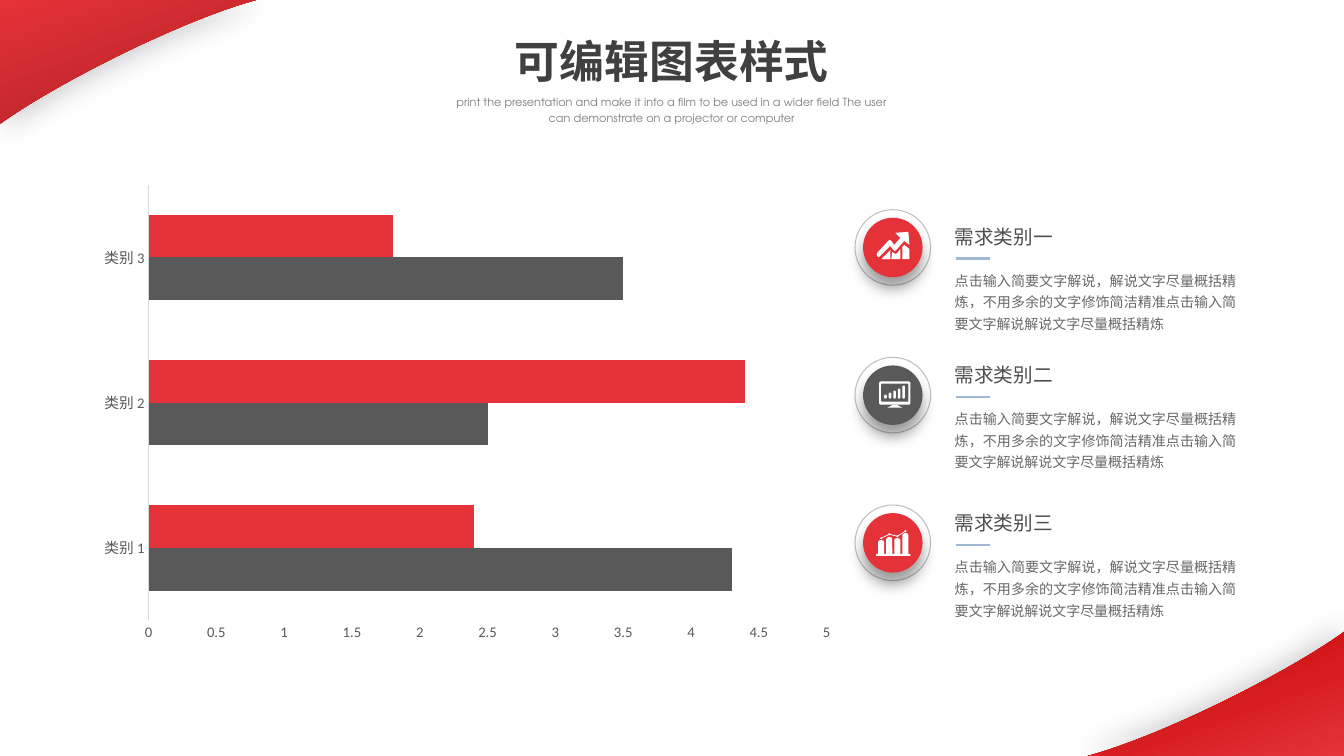
import lxml.etree
import pptx
import pptx.chart.data
import pptx.dml.color
import pptx.enum.chart
import pptx.enum.shapes
import pptx.enum.text
import pptx.oxml
import pptx.oxml.ns
import pptx.util

WIDTH, HEIGHT = 13.33, 7.5
RED, GREY, WHITE = "E53238", "595959", "FFFFFF"
LATIN, CHINESE = "TeX Gyre Adventor", "Noto Sans CJK SC"

TITLE = "可编辑图表样式"
SUBTITLE = ("print the presentation and make it into a film to be used in a wider field "
            "The user can demonstrate on a projector or computer")
BODY = ("点击输入简要文字解说，解说文字尽量概括精炼，不用多余的文字修饰简洁精准点击输入简要"
        "文字解说解说文字尽量概括精炼")
CATEGORIES = ["类别 1", "类别 2", "类别 3"]
SERIES = [("Series 1", (4.3, 2.5, 3.5), GREY), ("Series 2", (2.4, 4.4, 1.8), RED)]
CHART_BOX = (0.84, 1.74, 7.54, 4.74)
PLOT_SHARES = {"x": 0.084, "y": 0.02, "w": 0.892, "h": 0.911}

ITEMS = [("需求类别一", RED, "growth", 2.11), ("需求类别二", GREY, "monitor", 3.48),
         ("需求类别三", RED, "columns", 4.95)]
RING_LEFT, RING_TOP, RING_PITCH, RING_SIZE, DISC_SIZE = 8.48, 2.08, 1.465, 0.75, 0.59
TEXT_LEFT, RULE_LEFT, RULE_LENGTH = 9.37, 9.48, 0.34

CORNER_CURVE = [(2.54, 0), (1.74, 0.22), (0.49, 0.87), (0, 1.23)]
GROWTH_OUTLINES = [
    [(0.49, 0.35), (0.54, 0.39), (0.54, 0.49), (0.47, 0.49), (0.47, 0.37)],
    [(0.42, 0.43), (0.4, 0.44), (0.37, 0.42), (0.36, 0.49), (0.45, 0.49), (0.45, 0.39)],
    [(0.27, 0.48), (0.27, 0.49), (0.35, 0.49), (0.35, 0.4)],
    [(0.35, 0.36), (0.25, 0.46), (0.235, 0.47), (0.22, 0.46), (0.215, 0.445), (0.22, 0.43),
     (0.33, 0.31), (0.345, 0.3), (0.36, 0.31), (0.39, 0.35), (0.45, 0.28), (0.4, 0.23),
     (0.53, 0.22), (0.54, 0.35), (0.49, 0.31), (0.41, 0.4), (0.395, 0.41), (0.38, 0.4)],
]
STAND_OUTLINE = [(0.37, 0.47), (0.42, 0.47), (0.43, 0.48), (0.47, 0.5), (0.32, 0.5), (0.36, 0.48)]
MONITOR_BAR_TOPS = [0.37, 0.35, 0.33, 0.31, 0.28]
COLUMN_TOPS = [0.35, 0.32, 0.33, 0.28]
TREND_HEIGHTS = [0.33, 0.29, 0.31, 0.26]

SHAPES = pptx.enum.shapes.MSO_SHAPE
ALIGN = pptx.enum.text.PP_ALIGN
inches = pptx.util.Inches

presentation = pptx.Presentation()
presentation.slide_width, presentation.slide_height = inches(WIDTH), inches(HEIGHT)
slide = presentation.slides.add_slide(presentation.slide_layouts[6])


def color(value):
    return pptx.dml.color.RGBColor.from_string(value)


def add_shadow(shape, alpha, blur, distance, angle):
    shape.shadow.inherit = False
    effects = shape._element.spPr.find(pptx.oxml.ns.qn("a:effectLst"))
    effects.append(pptx.oxml.parse_xml(
        f'<a:outerShdw {pptx.oxml.ns.nsdecls("a")} blurRad="{blur * 12700}" '
        f'dist="{distance * 12700}" dir="{angle * 60000}" algn="ctr" rotWithShape="0">'
        f'<a:srgbClr val="000000"><a:alpha val="{alpha * 1000}"/></a:srgbClr></a:outerShdw>'))


def add_preset(kind, left, top, width, height, fill=None, line=None):
    shape = slide.shapes.add_shape(kind, *map(inches, (left, top, width, height)))
    shape.shadow.inherit = False
    if fill:
        shape.fill.solid()
        shape.fill.fore_color.rgb = color(fill)
    else:
        shape.fill.background()
    if line:
        shape.line.color.rgb = color(line)
        shape.line.width = pptx.util.Pt(0.75)
    else:
        shape.line.fill.background()
    return shape


def add_outline(points, left=0, top=0, fill=WHITE):
    scaled = [((left + x) * 1000, (top + y) * 1000) for x, y in points]
    builder = slide.shapes.build_freeform(*scaled[0], scale=914.4)
    builder.add_line_segments(scaled[1:], close=True)
    shape = builder.convert_to_shape()
    shape.shadow.inherit = False
    shape.fill.solid()
    shape.fill.fore_color.rgb = color(fill)
    shape.line.fill.background()
    return shape


def add_line(start, end, line, width):
    connector = slide.shapes.add_connector(
        pptx.enum.shapes.MSO_CONNECTOR.STRAIGHT, *map(inches, (*start, *end)))
    connector.line.color.rgb = color(line)
    connector.line.width = pptx.util.Pt(width)
    lxml.etree.SubElement(connector._element.spPr, pptx.oxml.ns.qn("a:effectLst"))


def add_text(text, left, top, width, height, *, size, fill, font,
             align=ALIGN.LEFT, spacing=1.0, bold=False):
    box = slide.shapes.add_textbox(*map(inches, (left, top, width, height)))
    box.text_frame.word_wrap = True
    paragraph = box.text_frame.paragraphs[0]
    paragraph.alignment, paragraph.line_spacing = align, spacing
    run = paragraph.add_run()
    run.text = text
    run.font.size, run.font.bold, run.font.name = pptx.util.Pt(size), bold, font
    run.font.color.rgb = color(fill)
    east_asian = lxml.etree.SubElement(run.font._element, pptx.oxml.ns.qn("a:ea"))
    east_asian.set("typeface", font)


def add_corner(mirrored, dark, gradient_angle, shadow_angle):
    points = [(0, 0)]
    for step in range(41):
        t = step / 40
        weights = ((1 - t) ** 3, 3 * t * (1 - t) ** 2, 3 * t * t * (1 - t), t ** 3)
        points.append(tuple(sum(w * p[axis] for w, p in zip(weights, CORNER_CURVE))
                            for axis in (0, 1)))
    if mirrored:
        points = [(WIDTH - x, HEIGHT - y) for x, y in points]
    shape = add_outline(points)
    shape.fill.gradient()
    shape.fill.gradient_angle = gradient_angle
    for stop, value in zip(shape.fill.gradient_stops, (RED, dark)):
        stop.color.rgb = color(value)
    add_shadow(shape, 20, 20, 5, shadow_angle)


def add_chart():
    data = pptx.chart.data.CategoryChartData()
    data.categories = CATEGORIES
    for name, values, _ in SERIES:
        data.add_series(name, values)
    chart = slide.shapes.add_chart(pptx.enum.chart.XL_CHART_TYPE.BAR_CLUSTERED,
                                   *map(inches, CHART_BOX), data).chart
    chart.has_legend = chart.has_title = False
    chart.font.name, chart.font.size = "Calibri", pptx.util.Pt(10.5)
    chart.font.color.rgb = color(GREY)
    plot = chart.plots[0]
    plot.gap_width, plot.overlap, plot.vary_by_categories = 138, 0, False
    for series, (_, _, fill) in zip(plot.series, SERIES):
        series.format.fill.solid()
        series.format.fill.fore_color.rgb = color(fill)
    for axis in (chart.category_axis, chart.value_axis):
        axis.has_major_gridlines = False
        axis.major_tick_mark = axis.minor_tick_mark = pptx.enum.chart.XL_TICK_MARK.NONE
    chart.category_axis.format.line.color.rgb = color("D9D9D9")
    chart.category_axis.format.line.width = pptx.util.Pt(0.75)
    value_axis = chart.value_axis
    value_axis.format.line.fill.background()
    value_axis.minimum_scale, value_axis.maximum_scale, value_axis.major_unit = 0, 5, 0.5
    area = chart._chartSpace.chart.plotArea
    for old in area.findall(pptx.oxml.ns.qn("c:layout")):
        area.remove(old)
    shares = "".join(f'<c:{key} val="{share}"/>' for key, share in PLOT_SHARES.items())
    area.insert(0, pptx.oxml.parse_xml(
        f'<c:layout {pptx.oxml.ns.nsdecls("c")}><c:manualLayout><c:layoutTarget val="inner"/>'
        f'<c:xMode val="edge"/><c:yMode val="edge"/>{shares}</c:manualLayout></c:layout>'))


def add_icon(icon, left, top, disc):
    if icon == "growth":
        for outline in GROWTH_OUTLINES:
            add_outline(outline, left, top)
    elif icon == "monitor":
        for inset, height, fill in ((0, 0.23, WHITE), (0.02, 0.18, disc)):
            panel = add_preset(SHAPES.ROUNDED_RECTANGLE, left + 0.24 + inset, top + 0.24 + inset,
                               0.31 - 2 * inset, height, fill)
            panel.adjustments[0] = 0.07
        add_outline(STAND_OUTLINE, left, top)
        for index, bar_top in enumerate(MONITOR_BAR_TOPS):
            bar = add_preset(SHAPES.ROUNDED_RECTANGLE, left + 0.29 + index * 0.045,
                             top + bar_top, 0.025, 0.41 - bar_top, WHITE)
            bar.adjustments[0] = 0.5
    else:
        add_preset(SHAPES.RECTANGLE, left + 0.21, top + 0.485, 0.34, 0.02, WHITE)
        knots = [(left + 0.26 + index * 0.08, top + y) for index, y in enumerate(TREND_HEIGHTS)]
        for (x, y), column_top in zip(knots, COLUMN_TOPS):
            add_preset(SHAPES.ROUND_2_SAME_RECTANGLE, x - 0.03, top + column_top,
                       0.06, 0.49 - column_top, WHITE).adjustments[0] = 0.35
            add_preset(SHAPES.OVAL, x - 0.01, y - 0.01, 0.02, 0.02, WHITE)
        for start, end in zip(knots, knots[1:]):
            add_line(start, end, WHITE, 0.5)


add_corner(False, "AC2125", 290, 45)
add_corner(True, "C00000", 110, 225)
add_chart()
for index, (heading, fill, icon, text_top) in enumerate(ITEMS):
    ring_top = RING_TOP + index * RING_PITCH
    inset = (RING_SIZE - DISC_SIZE) / 2
    add_preset(SHAPES.OVAL, RING_LEFT, ring_top, RING_SIZE, RING_SIZE, line="BFBFBF")
    disc = add_preset(SHAPES.OVAL, RING_LEFT + inset, ring_top + inset, DISC_SIZE, DISC_SIZE, fill)
    add_shadow(disc, 40, 11, 8, 90)
    add_icon(icon, RING_LEFT, ring_top, fill)
    rule_top = text_top + 0.455
    add_line((RULE_LEFT, rule_top), (RULE_LEFT + RULE_LENGTH, rule_top), "9FB8D6", 1.5)
    add_text(BODY, TEXT_LEFT, text_top + 0.49, 2.99, 0.98, size=10, fill="686769",
             font=CHINESE, align=ALIGN.JUSTIFY, spacing=1.3)
    add_text(heading, TEXT_LEFT, text_top, 1.45, 0.38, size=14, fill="4F4D50",
             font=CHINESE, spacing=1.3)
add_text(TITLE, 4.33, 0.29, 4.67, 0.64, size=32, fill="404040", font=LATIN,
         align=ALIGN.CENTER, bold=True)
add_text(SUBTITLE, 4.33, 0.87, 4.67, 0.42, size=8, fill="808080", font=LATIN,
         align=ALIGN.CENTER, spacing=1.2)
presentation.save("out.pptx")
